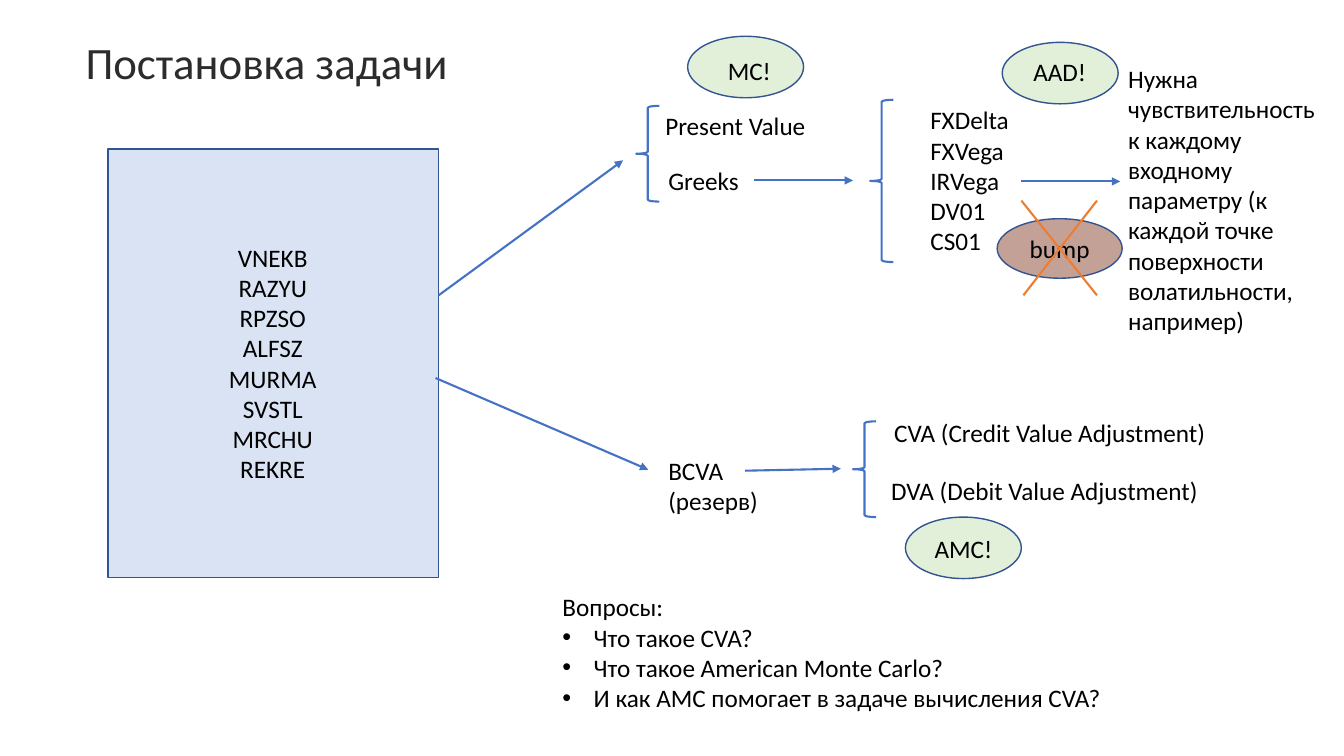
from lxml import etree
from pptx import Presentation, util as u
from pptx.dml.color import RGBColor
from pptx.enum import shapes, text
from pptx.oxml.ns import qn

# Content; places are cells of a grid, 100 cells to the inch
WIDE, HIGH, CELL = 1333, 750, 9144
FONT, BLACK, BLUE, NAVY, ORANGE = "Calibri", "000000", "4472C4", "325491", "ED7D31"
GREEN, PALE, BROWN = "E2F0D9", "DAE3F3", "C4A196"

TITLE = ("Постановка задачи", (75, 27, 1150, 75))
TICKERS = ["VNEKB", "RAZYU", "RPZSO", "ALFSZ", "MURMA", "SVSTL", "MRCHU", "REKRE"]
PANEL, LIST = (107, 148, 328, 425), (120, 235, 301, 252)

# Method bubbles: label, label place, left and top of the oval
BUBBLES = [
    ("MC!", (712, 50, 80, 40), (682, 36)),
    ("AAD!", (1015, 51, 73, 40), (994, 42)),
    ("AMC!", (917, 524, 95, 40), (898, 513)),
]
OVAL = (115, 61)
BUMP = ("bump", (989, 217, 124, 59))

NOTES = [
    (["Present Value"], (650, 105, 196, 40)),
    (["Greeks"], (653, 159, 120, 40)),
    (["FXDelta", "FXVega", "IRVega", "DV01", "CS01"], (913, 99, 124, 162)),
    (["Нужна чувствительность к каждому входному параметру "
      "(к каждой точке поверхности волатильности, например)"], (1109, 58, 215, 283)),
    (["BCVA", "(резерв)"], (653, 447, 109, 71)),
    (["CVA (Credit Value Adjustment)"], (877, 409, 367, 40)),
    (["DVA (Debit Value Adjustment)"], (874, 467, 370, 40)),
]
ASK = ["Вопросы:", "Что такое CVA?", "Что такое American Monte Carlo?",
       "И как AMC помогает в задаче вычисления CVA?"]
ASK_AT, INDENT = (548, 582, 575, 131), 31

# Braces: left, top, height
BRACES = [(631, 105, 95), (863, 99, 161), (846, 418, 95)]
ARROWS = [(435, 293, 618, 159), (748, 179, 846, 179), (1013, 180, 1111, 180),
          (432, 375, 643, 466), (739, 467, 834, 465)]
CROSS = [(1013, 199, 1088, 293), (1088, 199, 1015, 293)]

deck = Presentation()
deck.slide_width, deck.slide_height = WIDE * CELL, HIGH * CELL
slide = deck.slides.add_slide(deck.slide_layouts[6])
KIND = shapes.MSO_SHAPE
MID, LEFT = text.PP_ALIGN.CENTER, text.PP_ALIGN.LEFT


def grid(cells):
    return [c * CELL for c in cells]


def rgb(code):
    return RGBColor.from_string(code)


def write(shape, lines, size=18, color=BLACK, align=LEFT, mid=False):
    frame = shape.text_frame
    frame.word_wrap = True
    frame.vertical_anchor = text.MSO_ANCHOR.MIDDLE if mid else text.MSO_ANCHOR.TOP
    frame.text = "\n".join(lines)
    for para in frame.paragraphs:
        para.alignment = align
        for run in para.runs:
            run.font.name, run.font.size = FONT, u.Pt(size)
            run.font.color.rgb = rgb(color)
    return frame


def label(lines, at, **style):
    return write(slide.shapes.add_textbox(*grid(at)), lines, **style)


def draw(kind, at, fill=None, line=NAVY, width=1):
    shape = slide.shapes.add_shape(kind, *grid(at))
    shape.shadow.inherit = False
    if fill:
        shape.fill.solid()
        shape.fill.fore_color.rgb = rgb(fill)
    else:
        shape.fill.background()
    shape.line.color.rgb, shape.line.width = rgb(line), u.Pt(width)
    return shape


def link(ends, color, arrow=False):
    line = slide.shapes.add_connector(shapes.MSO_CONNECTOR.STRAIGHT, *grid(ends))
    line.line.color.rgb, line.line.width = rgb(color), u.Pt(1.5)
    if arrow:
        etree.SubElement(line.line._get_or_add_ln(), qn("a:tailEnd"), type="triangle")
    etree.SubElement(line._element.spPr, qn("a:effectLst"))


# Title
name, at = TITLE
label([name], at, size=32, color="2C2C2C", mid=True).paragraphs[0].line_spacing = 0.9

# Ticker panel
draw(KIND.RECTANGLE, PANEL, PALE)
label(TICKERS, LIST, align=MID)

# Braces and notes
for left, top, tall in BRACES:
    draw(KIND.LEFT_BRACE, (left, top, 23, tall), line=BLUE, width=1.5)
for lines, at in NOTES:
    label(lines, at)

# Method bubbles
for name, at, corner in BUBBLES:
    draw(KIND.OVAL, corner + OVAL, GREEN)
    label([name], at)
name, at = BUMP
write(draw(KIND.OVAL, at, BROWN), [name], align=MID, mid=True)

# Arrows and the cross over the rejected method
for ends in ARROWS:
    link(ends, BLUE, arrow=True)
for ends in CROSS:
    link(ends, ORANGE)

# Questions
for para in label(ASK, ASK_AT).paragraphs[1:]:
    props = para._p.get_or_add_pPr()
    props.set("marL", str(INDENT * CELL))
    props.set("indent", str(-INDENT * CELL))
    etree.SubElement(props, qn("a:buFont"), typeface="Arial")
    etree.SubElement(props, qn("a:buChar"), char="•")

deck.save("out.pptx")
